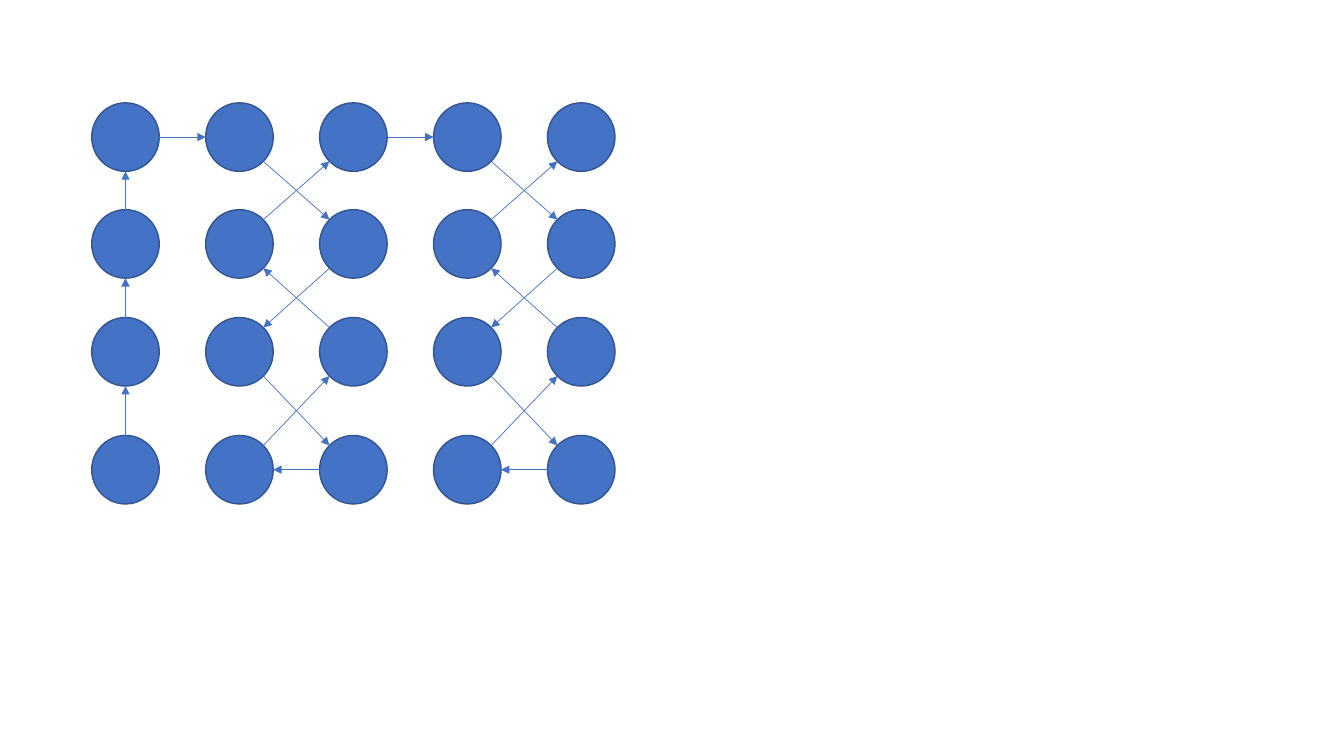
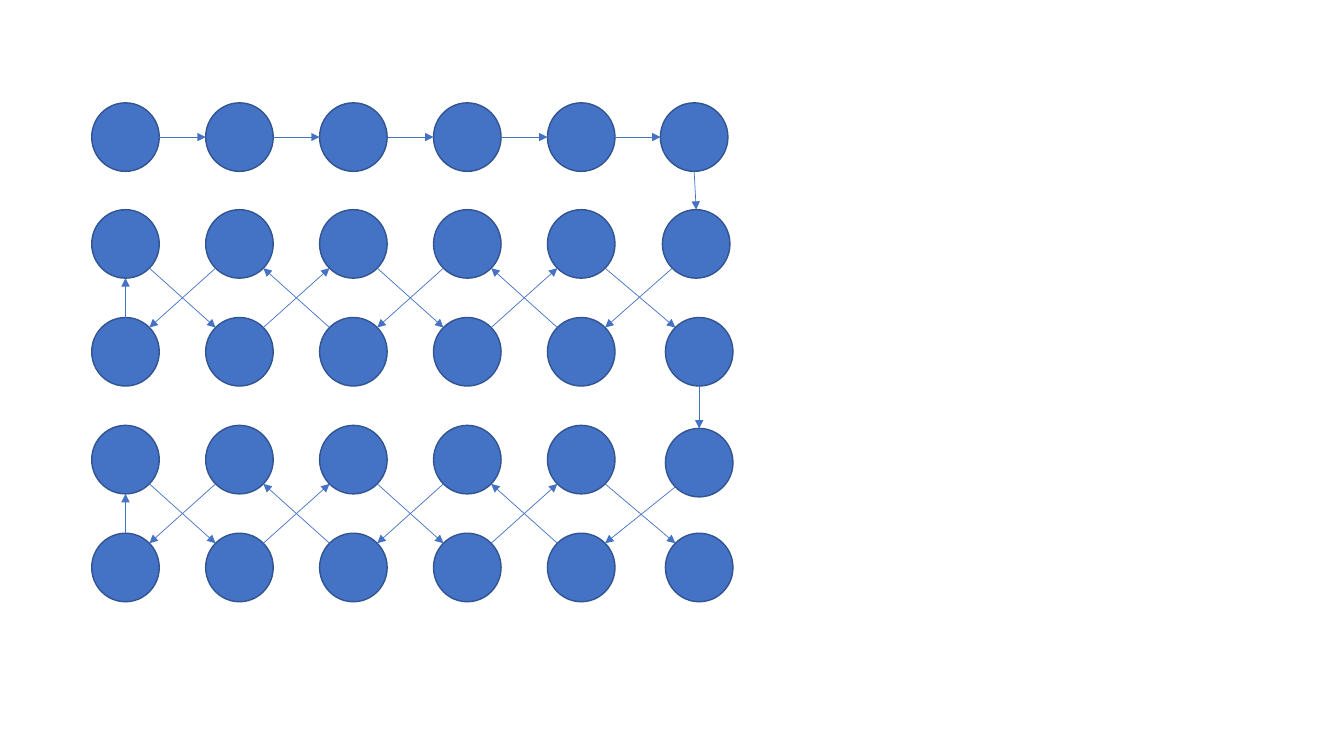
from math import sqrt

from lxml import etree
from pptx import Presentation
from pptx.dml.color import RGBColor
from pptx.enum.shapes import MSO_CONNECTOR, MSO_SHAPE
from pptx.oxml.ns import qn
from pptx.util import Inches, Pt

PAGES = [
    {
        "row_tops": [1.02, 2.08, 3.15, 4.32],
        "columns": 5,
        "shifted": {},
        "route": [
            (3, 0), (2, 0), (1, 0), (0, 0), (0, 1),
            (1, 2), (2, 1), (3, 2), (3, 1), (2, 2), (1, 1), (0, 2), (0, 3),
            (1, 4), (2, 3), (3, 4), (3, 3), (2, 4), (1, 3), (0, 4),
        ],
    },
    {
        "row_tops": [1.02, 2.08, 3.15, 4.22, 5.29],
        "columns": 6,
        "shifted": {
            (0, 5): (6.55, 1.02),
            (1, 5): (6.57, 2.08),
            (2, 5): (6.6, 3.15),
            (3, 5): (6.6, 4.25),
            (4, 5): (6.6, 5.29),
        },
        "route": [
            (0, 0), (0, 1), (0, 2), (0, 3), (0, 4), (0, 5),
            (1, 5), (2, 4), (1, 3), (2, 2), (1, 1), (2, 0),
            (1, 0), (2, 1), (1, 2), (2, 3), (1, 4), (2, 5),
            (3, 5), (4, 4), (3, 3), (4, 2), (3, 1), (4, 0),
            (3, 0), (4, 1), (3, 2), (4, 3), (3, 4), (4, 5),
        ],
    },
]

THEME = {
    "node": RGBColor.from_string("4472C4"),
    "outline": RGBColor.from_string("325491"),
    "outline_width": Pt(1),
    "arrow_width": Pt(0.5),
}
FIRST_LEFT, COLUMN_STEP = 0.91, 1.13
NODE_WIDTH, NODE_HEIGHT = Inches(0.67), Inches(0.68)

CIRCLE_SITES = [(-1, 0), (-1, -1), (0, -1), (1, -1), (1, 0), (1, 1), (0, 1), (-1, 1)]


def add_node(page, left, top):
    node = page.shapes.add_shape(
        MSO_SHAPE.FLOWCHART_CONNECTOR, Inches(left), Inches(top), NODE_WIDTH, NODE_HEIGHT
    )
    node.shadow.inherit = False
    node.fill.solid()
    node.fill.fore_color.rgb = THEME["node"]
    node.line.color.rgb = THEME["outline"]
    node.line.width = THEME["outline_width"]
    return node


def rim_point(node, direction):
    down, right = direction
    reach = 1 / sqrt(2) if down and right else 1
    return (
        round(node.left + node.width / 2 * (1 + right * reach)),
        round(node.top + node.height / 2 * (1 + down * reach)),
    )


def add_arrow(page, source, target, direction):
    opposite = (-direction[0], -direction[1])
    arrow = page.shapes.add_connector(
        MSO_CONNECTOR.STRAIGHT, *rim_point(source, direction), *rim_point(target, opposite)
    )
    arrow.line.color.rgb = THEME["node"]
    arrow.line.width = THEME["arrow_width"]
    etree.SubElement(arrow.line._get_or_add_ln(), qn("a:tailEnd"), type="triangle")
    etree.SubElement(arrow._element.spPr, qn("a:effectLst"))
    joints = arrow._element.find(".//" + qn("p:cNvCxnSpPr"))
    for tag, node, side in (("a:stCxn", source, direction), ("a:endCxn", target, opposite)):
        etree.SubElement(
            joints, qn(tag), id=str(node.shape_id), idx=str(CIRCLE_SITES.index(side))
        )


def build_page(deck, content):
    page = deck.slides.add_slide(deck.slide_layouts[6])
    nodes = {}
    for row, top in enumerate(content["row_tops"]):
        for column in range(content["columns"]):
            place = (FIRST_LEFT + column * COLUMN_STEP, top)
            cell = (row, column)
            nodes[cell] = add_node(page, *content["shifted"].get(cell, place))
    route = content["route"]
    for start, end in zip(route, route[1:]):
        direction = (end[0] - start[0], end[1] - start[1])
        add_arrow(page, nodes[start], nodes[end], direction)


def main():
    deck = Presentation()
    deck.slide_width, deck.slide_height = Inches(13.33), Inches(7.5)
    for content in PAGES:
        build_page(deck, content)
    deck.save("out.pptx")


if __name__ == "__main__":
    main()
